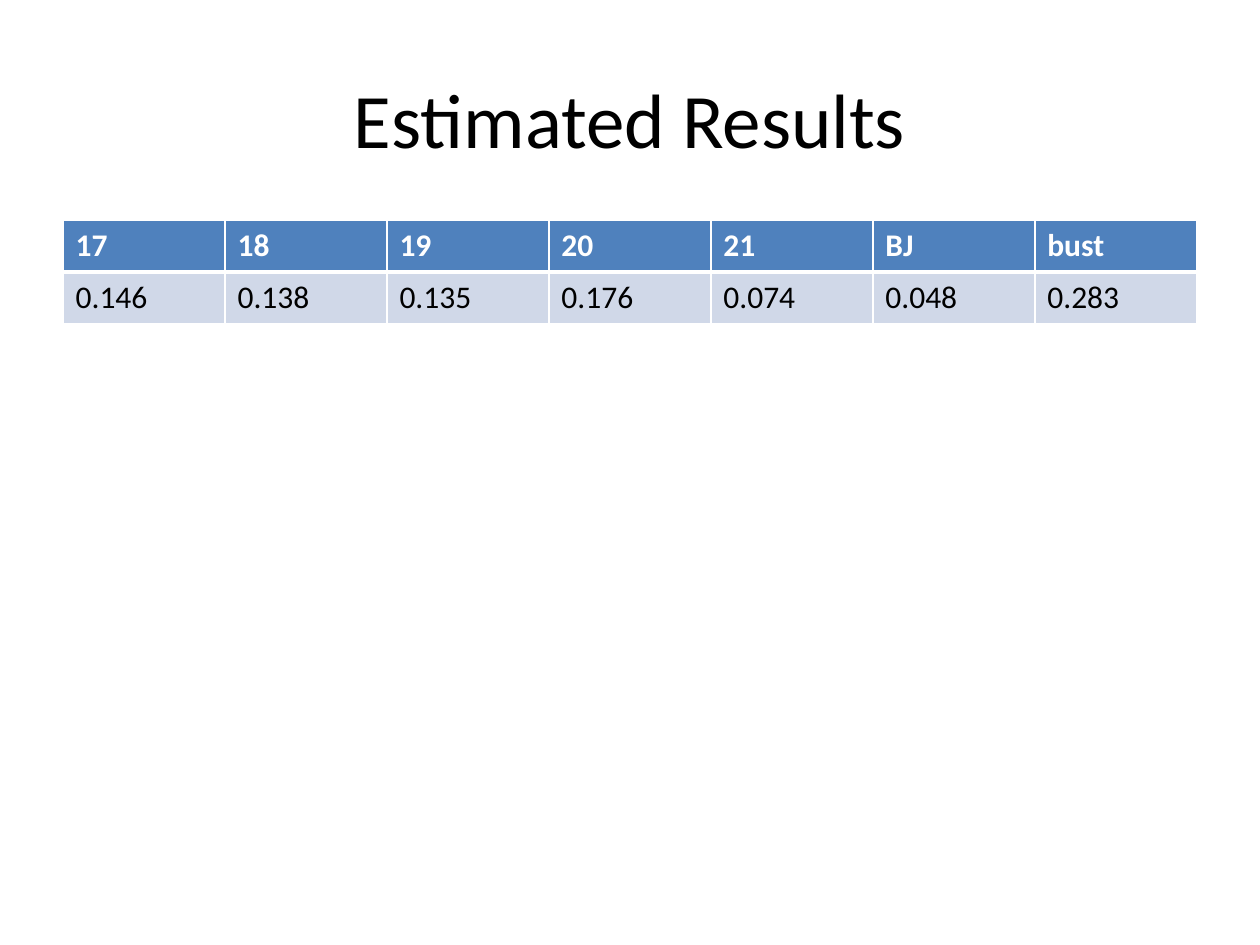
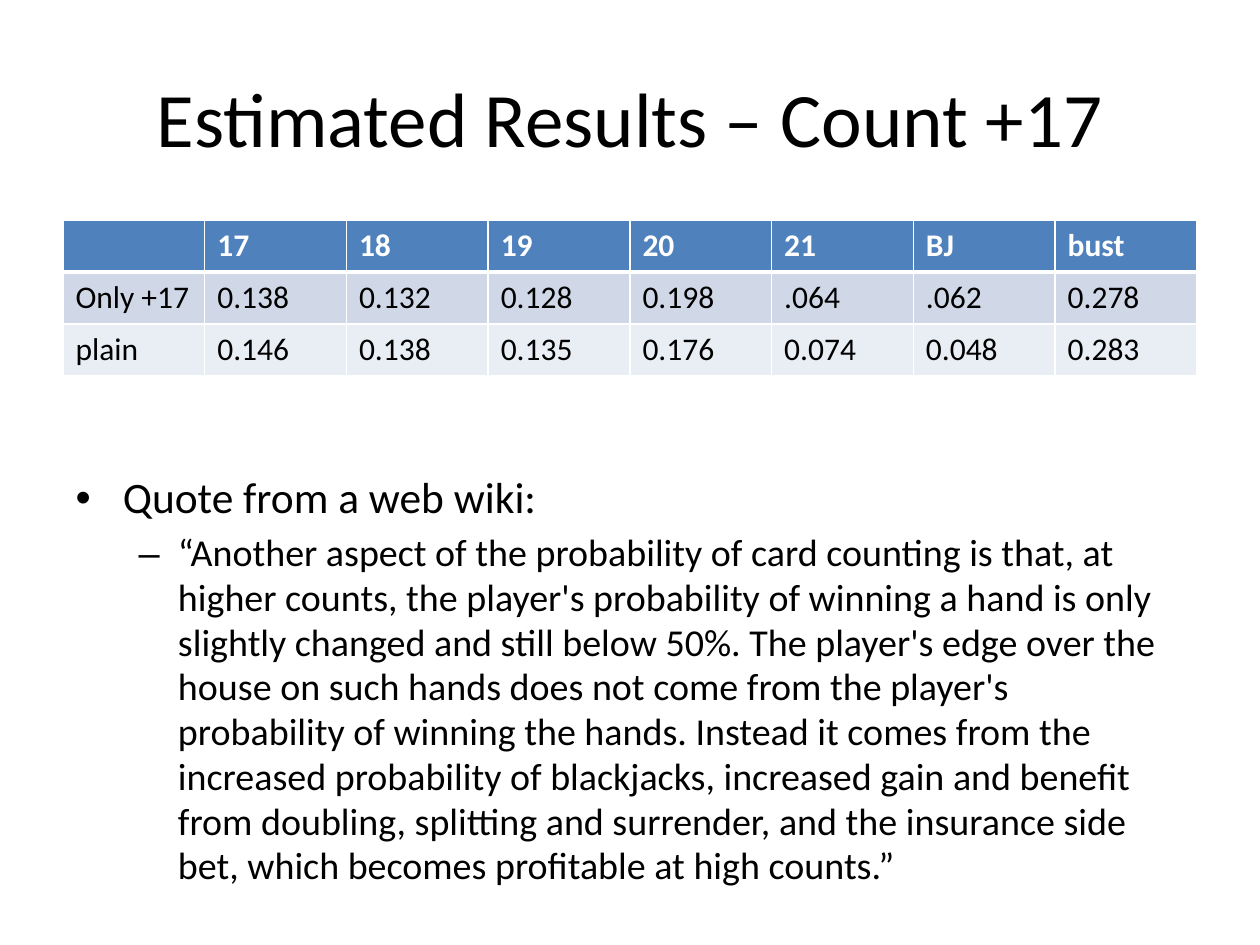
from lxml import etree
from pptx import Presentation
from pptx.dml.color import RGBColor
from pptx.enum import text
from pptx.oxml import ns
from pptx.util import Inches, Pt

TITLE_AND_CONTENT, TITLE_ONLY = 1, 5
OUTCOMES = ["17", "18", "19", "20", "21", "BJ", "bust"]
PLAIN = ["0.146", "0.138", "0.135", "0.176", "0.074", "0.048", "0.283"]
ONLY_17 = ["0.138", "0.132", "0.128", "0.198", ".064", ".062", "0.278"]
QUOTE = (
    "“Another aspect of the probability of card counting is that, at higher counts, "
    "the player's probability of winning a hand is only slightly changed and still "
    "below 50%. The player's edge over the house on such hands does not come from the "
    "player's probability of winning the hands. Instead it comes from the increased "
    "probability of blackjacks, increased gain and benefit from doubling, splitting "
    "and surrender, and the insurance side bet, which becomes profitable at high counts.”"
)


def rgb(hex_color):
    return RGBColor.from_string(hex_color)


class Deck:
    FONT = "Calibri"
    INK, PAPER = "000000", "FFFFFF"
    HEADER, BANDS = "4F81BD", ("D0D8E8", "E9EDF4")
    LEFT, WIDTH = Inches(0.5), Inches(9)
    TABLE_TOP, ROW_HEIGHT = Inches(1.75), Inches(0.41)

    def __init__(self):
        self.prs = Presentation()
        self.prs.slide_width, self.prs.slide_height = Inches(10), Inches(7.5)
        self.slide = None

    def place(self, shape, top, height):
        shape.left, shape.top = self.LEFT, top
        shape.width, shape.height = self.WIDTH, height

    def style(self, paragraph, size, color=INK, bold=False):
        for run in paragraph.runs:
            run.font.name, run.font.size, run.font.bold = self.FONT, Pt(size), bold
            run.font.color.rgb = rgb(color)

    def new_slide(self, heading, top, layout=TITLE_ONLY):
        self.slide = self.prs.slides.add_slide(self.prs.slide_layouts[layout])
        title = self.slide.shapes.title
        self.place(title, Inches(top), Inches(1.25))
        frame = title.text_frame
        frame.text = heading
        frame.vertical_anchor = text.MSO_ANCHOR.MIDDLE
        frame.paragraphs[0].alignment = text.PP_ALIGN.CENTER
        self.style(frame.paragraphs[0], 44)

    def borders(self, cell, top, bottom):
        # Border lines come before the fill in the cell properties
        props = cell._tc.get_or_add_tcPr()
        widths = {"lnL": 1, "lnR": 1, "lnT": top, "lnB": bottom}
        for position, (side, width) in enumerate(widths.items()):
            line = etree.Element(ns.qn(f"a:{side}"), w=str(Pt(width)))
            fill = etree.SubElement(line, ns.qn("a:solidFill"))
            etree.SubElement(fill, ns.qn("a:srgbClr"), val=self.PAPER)
            props.insert(position, line)

    def table(self, rows):
        frame = self.slide.shapes.add_table(
            len(rows), len(rows[0]), self.LEFT, self.TABLE_TOP,
            self.WIDTH, self.ROW_HEIGHT * len(rows))
        for r, row in enumerate(rows):
            is_header = r == 0
            fill = self.HEADER if is_header else self.BANDS[(r - 1) % 2]
            for c, value in enumerate(row):
                cell = frame.table.cell(r, c)
                cell.text_frame.text = value
                self.style(cell.text_frame.paragraphs[0], 18,
                           self.PAPER if is_header else self.INK, is_header)
                cell.fill.solid()
                cell.fill.fore_color.rgb = rgb(fill)
                self.borders(cell, top=3 if r == 1 else 1, bottom=3 if is_header else 1)

    def bullets(self, items, top, height):
        body = self.slide.placeholders[1]
        self.place(body, Inches(top), Inches(height))
        frame = body.text_frame
        frame.auto_size = text.MSO_AUTO_SIZE.NONE
        frame.text = "\n".join(words for words, level, size in items)
        for paragraph, (words, level, size) in zip(frame.paragraphs, items):
            paragraph.level = level
            paragraph.line_spacing = 0.98
            self.style(paragraph, size)


def main():
    deck = Deck()

    # Results without counting
    deck.new_slide("Estimated Results", top=0.31)
    deck.table([OUTCOMES, PLAIN])

    # Results at a high count, with the quotation
    deck.new_slide("Estimated Results – Count +17", top=0.3, layout=TITLE_AND_CONTENT)
    deck.bullets([("Quote from a web wiki:", 0, 24.8), (QUOTE, 1, 21.7)],
                 top=3.7, height=3.5)
    deck.table([["", *OUTCOMES], ["Only +17", *ONLY_17], ["plain", *PLAIN]])

    deck.prs.save("out.pptx")


if __name__ == "__main__":
    main()
